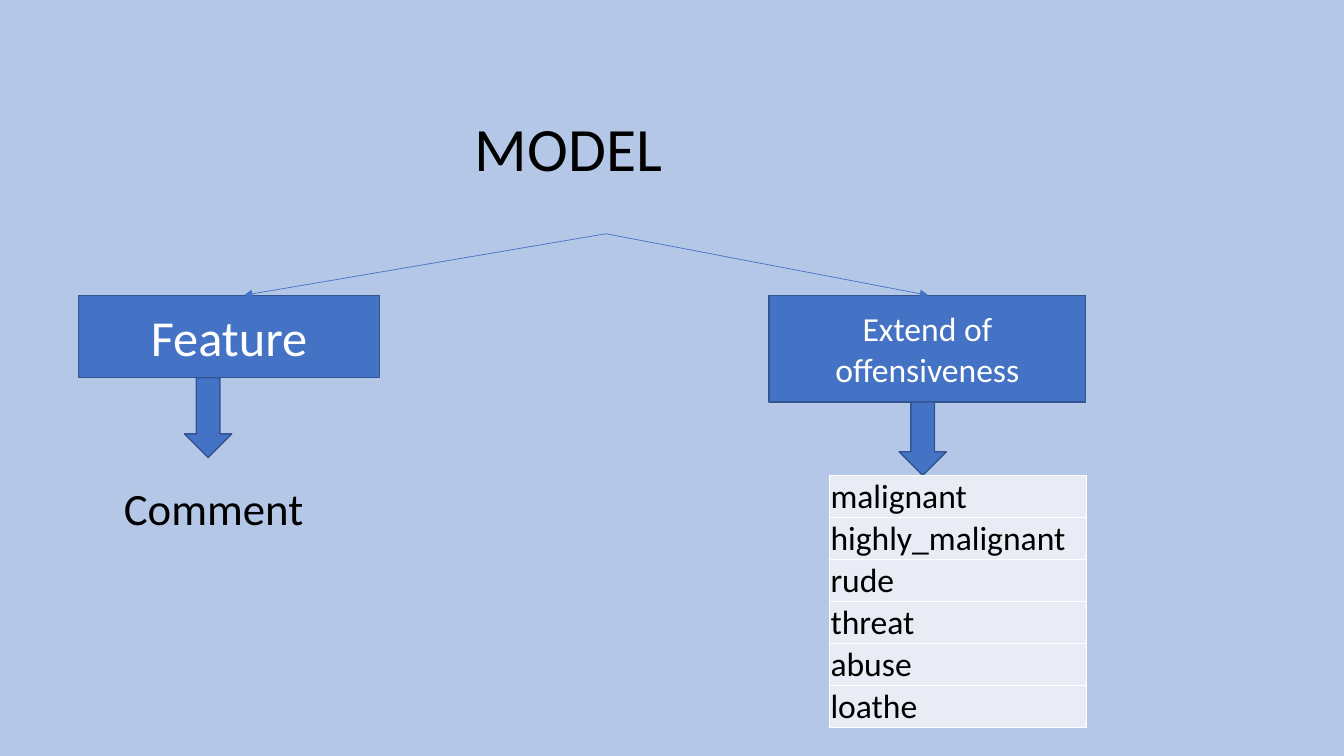
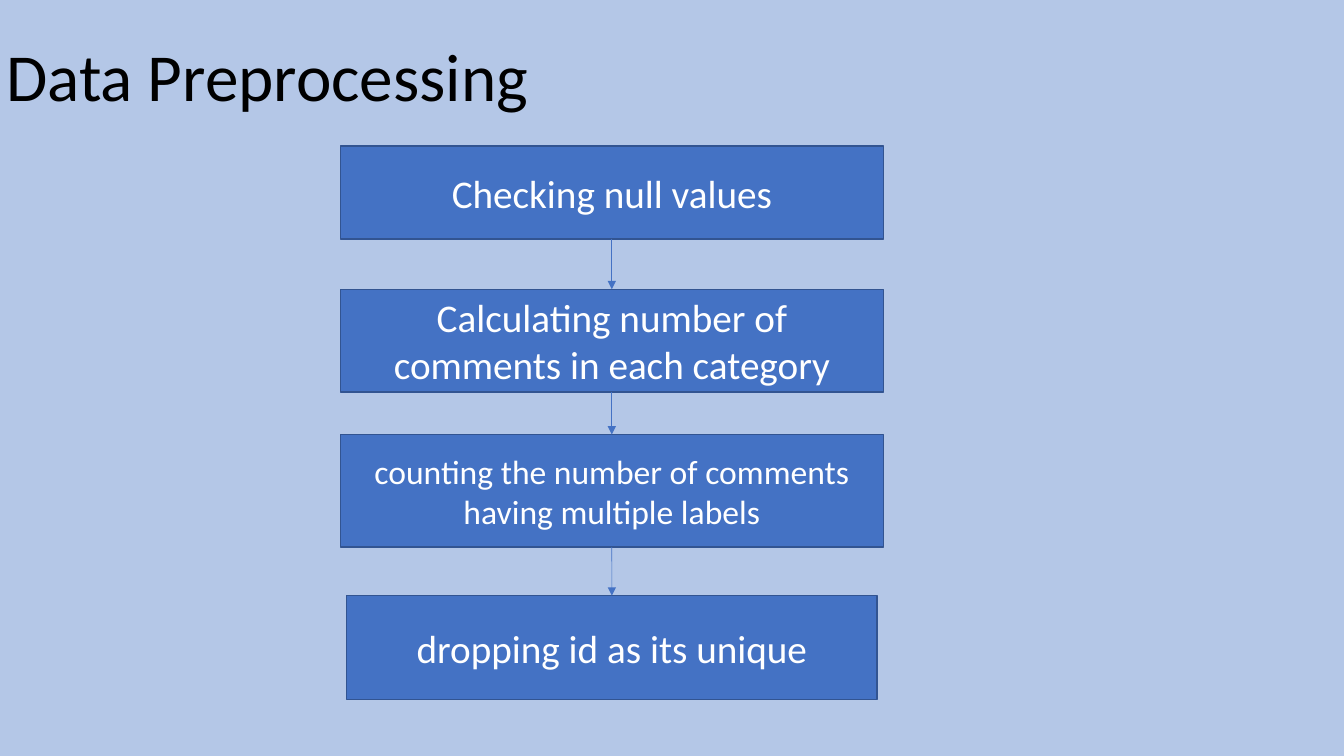
"""Builds two slides on a comment model and its data preparation."""
from itertools import pairwise

from lxml import etree
from pptx import Presentation
from pptx.dml.color import RGBColor
from pptx.enum.shapes import MSO_CONNECTOR, MSO_SHAPE
from pptx.enum.text import MSO_ANCHOR, MSO_AUTO_SIZE, PP_ALIGN
from pptx.oxml import parse_xml
from pptx.oxml.ns import nsdecls, qn
from pptx.util import Cm, Pt

COLORS = {
    "back": "B4C7E7",
    "fill": "4472C4",
    "edge": "325491",
    "cell": "E9EBF5",
    "dark": "000000",
    "light": "FFFFFF",
}
FONT = "Calibri"
RECT, DOWN = MSO_SHAPE.RECTANGLE, MSO_SHAPE.DOWN_ARROW
STRAIGHT = MSO_CONNECTOR.STRAIGHT
LEFT, CENTER = PP_ALIGN.LEFT, PP_ALIGN.CENTER
MIDDLE, BOTTOM = MSO_ANCHOR.MIDDLE, MSO_ANCHOR.BOTTOM
NO_FIT, GROW = MSO_AUTO_SIZE.NONE, MSO_AUTO_SIZE.SHAPE_TO_FIT_TEXT
TOP_SITE, LOW_SITE = 0, 2
TITLE_ONLY = 5


def color(name):
    """Return the named colour."""
    return RGBColor.from_string(COLORS[name])


def write(frame, text, size, tint="dark", align=LEFT):
    """Put one styled paragraph in a text frame and return it."""
    frame.text = text
    para = frame.paragraphs[0]
    para.alignment = align
    para.font.name = FONT
    para.font.size = Pt(size)
    para.font.color.rgb = color(tint)
    return para


def add_page(deck, title, size, place):
    """Add a slide with its title at the given place."""
    slide = deck.slides.add_slide(deck.slide_layouts[TITLE_ONLY])
    head = slide.shapes.title
    head.left, head.top, head.width, head.height = map(Cm, place)
    frame = head.text_frame
    frame.auto_size = NO_FIT
    frame.vertical_anchor = MIDDLE
    write(frame, title, size).line_spacing = 0.9
    return slide


def add_block(slide, kind, place):
    """Add a filled and outlined shape."""
    block = slide.shapes.add_shape(kind, *map(Cm, place))
    block.shadow.inherit = False
    block.fill.solid()
    block.fill.fore_color.rgb = color("fill")
    block.line.color.rgb = color("edge")
    block.line.width = Pt(1)
    return block


def add_box(slide, text, size, place):
    """Add a block with white centred text."""
    box = add_block(slide, RECT, place)
    box.text_frame.word_wrap = True
    box.text_frame.vertical_anchor = MIDDLE
    write(box.text_frame, text, size, "light", CENTER)
    return box


def add_label(slide, text, size, place):
    """Add a plain text box."""
    frame = slide.shapes.add_textbox(*map(Cm, place)).text_frame
    frame.word_wrap = True
    frame.auto_size = GROW
    write(frame, text, size)


def add_arrow(slide, start=(0, 0), end=(0, 0)):
    """Add a thin line with an arrowhead at its end."""
    arrow = slide.shapes.add_connector(STRAIGHT, *map(Cm, start + end))
    arrow.line.color.rgb = color("fill")
    arrow.line.width = Pt(0.5)
    etree.SubElement(arrow.line._get_or_add_ln(), qn("a:tailEnd"), type="triangle")
    etree.SubElement(arrow._element.spPr, qn("a:effectLst"))
    return arrow


def add_edges(cell):
    """Give a table cell thin white borders."""
    props = cell._tc.get_or_add_tcPr()
    for side in ("lnL", "lnR", "lnT", "lnB"):
        props.append(parse_xml(
            f'<a:{side} {nsdecls("a")} w="12700"><a:solidFill>'
            f'<a:srgbClr val="{COLORS["light"]}"/></a:solidFill></a:{side}>'))


def add_list(slide, items, size, place):
    """Add a table of one column with equal rows."""
    table = slide.shapes.add_table(len(items), 1, *map(Cm, place)).table
    table.first_row = table.horz_banding = False
    for row, item in enumerate(items):
        cell = table.cell(row, 0)
        cell.margin_left = cell.margin_right = cell.margin_top = Cm(0.03)
        cell.margin_bottom = 0
        cell.vertical_anchor = BOTTOM
        add_edges(cell)
        cell.fill.solid()
        cell.fill.fore_color.rgb = color("cell")
        write(cell.text_frame, item, size)


def add_model(deck):
    """Build the slide on the model."""
    slide = add_page(deck, "MODEL", 44, (11.71, 1.73, 7.16, 4.19))
    add_box(slide, "Feature", 36, (1.98, 7.44, 7.59, 2.08))
    add_box(slide, "Extend of offensiveness", 24, (19.38, 7.44, 7.98, 2.69))
    add_label(slide, "Comment", 32, (2.87, 11.99, 5.51, 1.63))
    for end in (6.15, 23.39):
        add_arrow(slide, (15.27, 5.89), (end, 7.44))
    for place in ((4.65, 9.52, 1.19, 2.01), (22.66, 10.13, 1.19, 1.85)):
        add_block(slide, DOWN, place)
    labels = ("malignant", "highly_malignant", "rude", "threat", "abuse", "loathe")
    add_list(slide, labels, 24, (20.9, 11.99, 6.48, 6.35))


def add_steps(deck):
    """Build the slide on the steps of data preparation."""
    slide = add_page(deck, "Data Preprocessing", 48, (-0.1, 0.33, 15.77, 3.35))
    middle = 15.42
    steps = (
        ("Checking null values", 28, 3.68, 13.69, 2.34),
        ("Calculating number of comments in each category", 28, 7.29, 13.69, 2.59),
        ("counting the number of comments having multiple labels", 24,
         10.95, 13.69, 2.84),
        ("dropping id as its unique", 28, 15.01, 13.36, 2.62),
    )
    boxes = [add_box(slide, text, size, (middle - width / 2, top, width, height))
             for text, size, top, width, height in steps]
    for upper, lower in pairwise(boxes):
        arrow = add_arrow(slide)
        arrow.begin_connect(upper, LOW_SITE)
        arrow.end_connect(lower, TOP_SITE)


def main():
    """Build and save the deck."""
    deck = Presentation()
    deck.slide_width, deck.slide_height = Cm(33.87), Cm(19.05)
    back = deck.slide_master.background.fill
    back.solid()
    back.fore_color.rgb = color("back")
    add_model(deck)
    add_steps(deck)
    deck.save("out.pptx")


if __name__ == "__main__":
    main()
